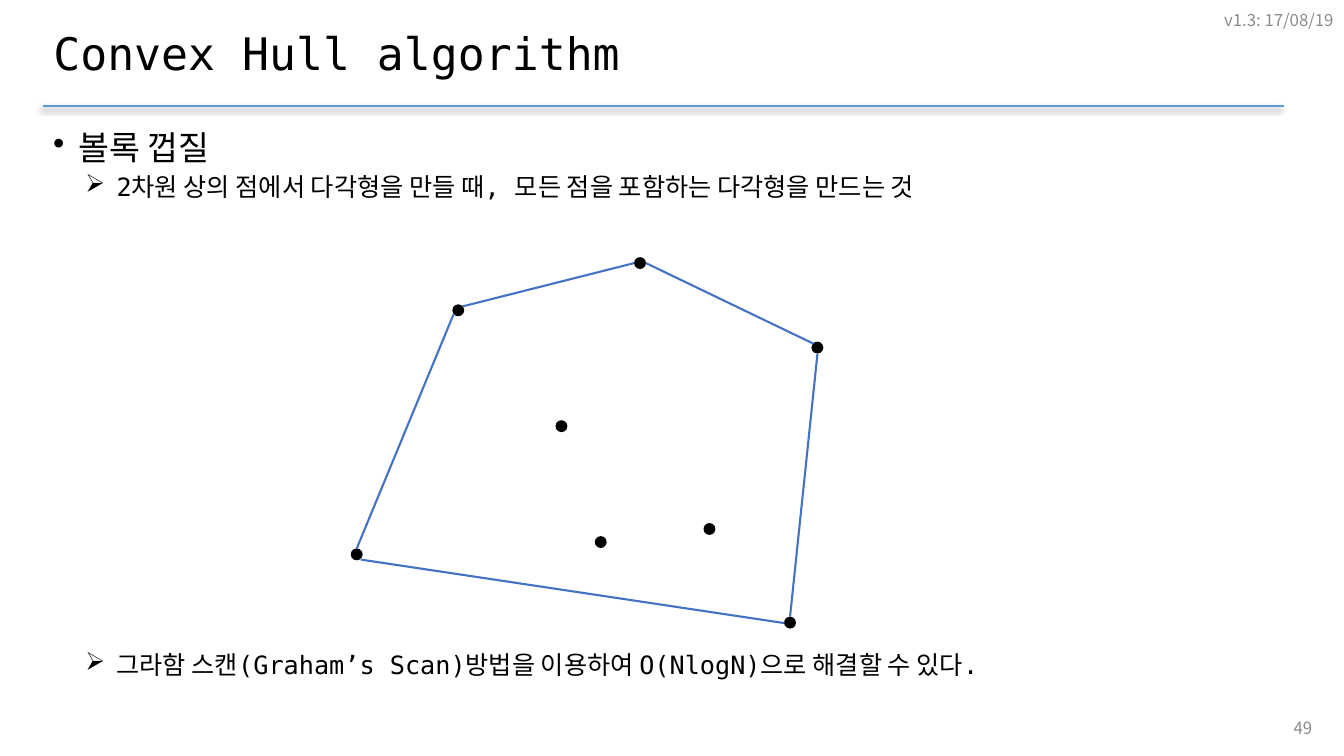
from dataclasses import dataclass

from lxml import etree
from pptx import Presentation
from pptx.dml.color import RGBColor
from pptx.enum import shapes, text
from pptx.oxml import ns
from pptx.util import Cm, Pt


@dataclass(frozen=True)
class Theme:
    """Colours, fonts and type sizes of the slide."""
    ink: RGBColor = RGBColor(0, 0, 0)
    muted: RGBColor = RGBColor(0x8C, 0x8C, 0x8C)
    rule: RGBColor = RGBColor(0x5B, 0x9B, 0xD5)
    edge: RGBColor = RGBColor(0x44, 0x72, 0xC4)
    mono: str = "DejaVu Sans Mono"
    sans: str = "Noto Sans CJK KR"
    title: int = 32
    topic: int = 24
    detail: int = 18
    small: int = 12


THEME = Theme()
DOT_SIZE = 0.3
DOTS = [(20.45, 8.61), (15.98, 6.48), (11.4, 7.67), (14, 10.59),
        (17.73, 13.18), (14.99, 13.51), (8.84, 13.82), (19.76, 15.54)]
HULL_EDGES = [((15.98, 6.63), (11.66, 7.72)), ((11.43, 7.92), (8.99, 13.82)),
              ((9.09, 14.1), (19.76, 15.7)), ((16.28, 6.63), (20.5, 8.66)),
              ((20.6, 8.92), (19.91, 15.54))]
BULLETS = [
    ("볼록 껍질", 0, 10),
    ("2차원 상의 점에서 다각형을 만들 때, 모든 점을 포함하는 다각형을 만드는 것", 1, 5),
    ("그라함 스캔(Graham’s Scan)방법을 이용하여 O(NlogN)으로 해결할 수 있다.", 1, 322),
]
LEVELS = [("•", THEME.topic, 0.64, 0.64), ("➢", THEME.detail, 1.6, 0.79)]


def style_font(font, name, size, color):
    """Set the face, size and colour of a font."""
    font.name = name
    font.size = Pt(size)
    font.color.rgb = color


def add_line(page, start, end, color):
    """Draw a straight line without shadow and return its effect list."""
    line = page.shapes.add_connector(
        shapes.MSO_CONNECTOR.STRAIGHT, *map(Cm, start + end))
    line.line.color.rgb = color
    line.line.width = Pt(1.5)
    return etree.SubElement(line._element.spPr, ns.qn("a:effectLst"))


def add_header_rule(page):
    """Draw the shadowed rule under the title."""
    effects = add_line(page, (1.09, 2.67), (32.36, 2.67), THEME.rule)
    shadow = etree.SubElement(
        effects, ns.qn("a:outerShdw"), blurRad=str(Pt(4)), dist=str(Pt(3)),
        dir="8100000", algn="tr", rotWithShape="0")
    black = etree.SubElement(shadow, ns.qn("a:srgbClr"), val=str(THEME.ink))
    etree.SubElement(black, ns.qn("a:alpha"), val="40000")


def set_title(page, words):
    """Place and format the title placeholder."""
    title = page.shapes.title
    title.left, title.top, title.width, title.height = map(
        Cm, (1.09, 0.46, 31.27, 1.88))
    frame = title.text_frame
    frame.text = words
    frame.auto_size = text.MSO_AUTO_SIZE.NONE
    frame.vertical_anchor = text.MSO_ANCHOR.MIDDLE
    para = frame.paragraphs[0]
    para.alignment = text.PP_ALIGN.LEFT
    para.line_spacing = 0.9
    style_font(para.font, THEME.mono, THEME.title, THEME.ink)


def add_bullets(page):
    """Write the bulleted list around the drawing."""
    box = page.shapes.add_textbox(Cm(1.09), Cm(3.18), Cm(31.27), Cm(15.14))
    frame = box.text_frame
    frame.word_wrap = True
    for index, (words, level, gap) in enumerate(BULLETS):
        para = frame.add_paragraph() if index else frame.paragraphs[0]
        mark, size, margin, hang = LEVELS[level]
        para.text = words
        para.level = level
        para.line_spacing = 0.9
        para.space_before = Pt(gap)
        style_font(para.font, THEME.mono, size, THEME.ink)
        props = para._p.get_or_add_pPr()
        props.set("marL", str(Cm(margin)))
        props.set("indent", str(-Cm(hang)))
        bullet = etree.Element(ns.qn("a:buChar"), char=mark)
        props.find(ns.qn("a:defRPr")).addprevious(bullet)


def add_note(page, words, left, top, width):
    """Write a small right-aligned grey label."""
    box = page.shapes.add_textbox(Cm(left), Cm(top), Cm(width), Cm(1.02))
    frame = box.text_frame
    frame.word_wrap = True
    frame.vertical_anchor = text.MSO_ANCHOR.MIDDLE
    para = frame.paragraphs[0]
    para.text = words
    para.alignment = text.PP_ALIGN.RIGHT
    style_font(para.font, THEME.sans, THEME.small, THEME.muted)


def add_dot(page, left, top):
    """Draw one point of the set."""
    dot = page.shapes.add_shape(
        shapes.MSO_SHAPE.OVAL, Cm(left), Cm(top), Cm(DOT_SIZE), Cm(DOT_SIZE))
    dot.shadow.inherit = False
    dot.fill.solid()
    dot.fill.fore_color.rgb = THEME.ink
    dot.line.fill.background()


def main():
    """Build and save the slide."""
    deck = Presentation()
    deck.slide_width, deck.slide_height = Cm(33.87), Cm(19.05)
    page = deck.slides.add_slide(deck.slide_layouts.get_by_name("Title Only"))
    add_header_rule(page)
    set_title(page, "Convex Hull algorithm")
    add_bullets(page)
    add_note(page, "v1.3: 17/08/19", 22.43, 0, 11.43)
    for left, top in DOTS:
        add_dot(page, left, top)
    for start, end in HULL_EDGES:
        add_line(page, start, end, THEME.edge)
    add_note(page, "49", 25.7, 17.83, 7.62)
    deck.save("out.pptx")


if __name__ == "__main__":
    main()
